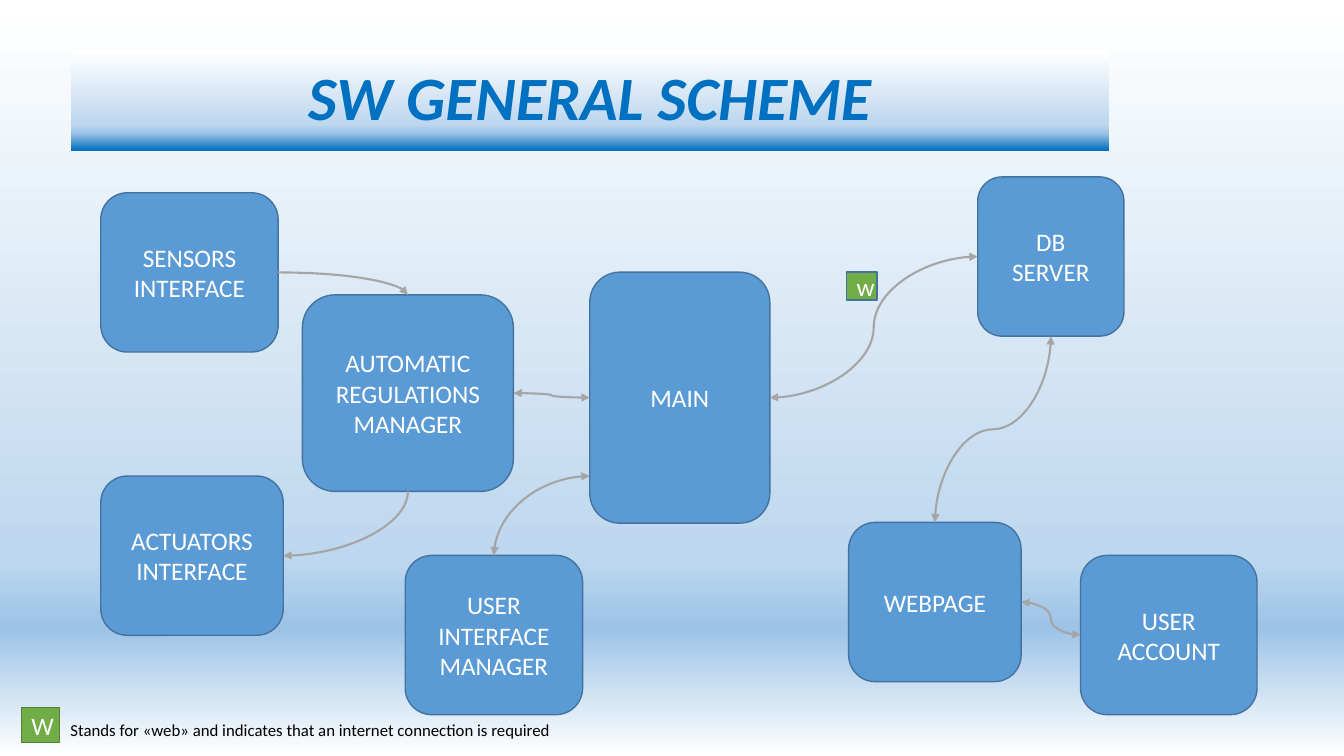
from copy import deepcopy
from dataclasses import dataclass

from lxml.etree import SubElement
from pptx import Presentation
from pptx.dml.color import RGBColor
from pptx.enum.shapes import MSO_CONNECTOR, MSO_SHAPE
from pptx.enum.text import MSO_ANCHOR, MSO_AUTO_SIZE, PP_ALIGN
from pptx.oxml.ns import qn
from pptx.util import Inches, Pt


@dataclass
class Theme:
    font: str = "Calibri"
    title: str = "0070C0"
    white: str = "FFFFFF"
    black: str = "000000"
    box: str = "5B9BD5"
    box_line: str = "43739E"
    web: str = "70AD47"
    web_line: str = "538035"
    arrow: str = "A5A5A5"
    title_size: int = 44
    body_size: int = 18
    note_size: int = 12


theme = Theme()
rgb = RGBColor.from_string
TOP, LEFT, BOTTOM, RIGHT = range(4)


def set_gradient(fill, element, last):
    """Fill downwards from white through two blues to the last colour."""
    fill.gradient()
    fill.gradient_angle = 270
    stops = next(element.iter(qn("a:gsLst")))
    for _ in range(2):
        stops.append(deepcopy(stops[0]))
    colours = (theme.white, "BDD7EE", "9DC3E6", last)
    for stop, place, colour in zip(fill.gradient_stops, (0, 0.74, 0.83, 1), colours):
        stop.position = place
        stop.color.rgb = rgb(colour)


def add_text(sp, text, size, colour, align=PP_ALIGN.CENTER):
    tf = sp.text_frame
    tf.word_wrap = True
    p = tf.paragraphs[0]
    p.alignment = align
    r = p.add_run()
    r.text = text
    r.font.name = theme.font
    r.font.size = Pt(size)
    r.font.color.rgb = rgb(colour)
    return r


prs = Presentation()
prs.slide_width, prs.slide_height = Inches(13.33), Inches(7.5)
# Lengths below are percentages of the slide's width and height.
X, Y = prs.slide_width / 100, prs.slide_height / 100
s = prs.slides.add_slide(prs.slide_layouts[5])
bg_fill = s.background.fill
set_gradient(bg_fill, s.element, theme.white)

# Title
sp = s.shapes.title
sp.left, sp.top = int(5.3 * X), int(6.67 * Y)
sp.width, sp.height = int(77.2 * X), int(13.2 * Y)
set_gradient(sp.fill, sp.element, theme.title)
sp.text_frame.vertical_anchor = MSO_ANCHOR.MIDDLE
r = add_text(sp, "SW GENERAL SCHEME", theme.title_size, theme.title)
r.font.bold = r.font.italic = True
sp.text_frame.paragraphs[0].line_spacing = 0.9

# Modules and web markers
ROUND, RECT = MSO_SHAPE.ROUNDED_RECTANGLE, MSO_SHAPE.RECTANGLE
ROW = 21.07
blocks = [
    ("MAIN", ROUND, 43.88, 36, 13.4, 33.2, theme.box, theme.box_line),
    ("SENSORS INTERFACE", ROUND, 7.5, 25.5, 13.2, ROW, theme.box, theme.box_line),
    ("AUTOMATIC REGULATIONS MANAGER", ROUND, 22.5, 39, 15.7, 26, theme.box, theme.box_line),
    ("ACTUATORS INTERFACE", ROUND, 7.5, 62.97, 13.58, ROW, theme.box, theme.box_line),
    ("DB SERVER", ROUND, 72.75, 23.4, 10.88, ROW, theme.box, theme.box_line),
    ("WEBPAGE", ROUND, 63.15, 69.1, 12.83, ROW, theme.box, theme.box_line),
    ("USER ACCOUNT", ROUND, 80.4, 73.47, 13.13, ROW, theme.box, theme.box_line),
    ("USER INTERFACE MANAGER", ROUND, 30.15, 73.47, 13.2, ROW, theme.box, theme.box_line),
    ("W", RECT, 1.6, 93.6, 2.85, 4.6, theme.web, theme.web_line),
    ("w", RECT, 63, 36, 2.25, 3.7, theme.web, theme.box_line),
]
shapes = {}
for text, kind, x, y, w, h, fill, line in blocks:
    sp = s.shapes.add_shape(kind, int(x * X), int(y * Y), int(w * X), int(h * Y))
    sp.shadow.inherit = False
    sp.fill.solid()
    sp.fill.fore_color.rgb = rgb(fill)
    sp.line.color.rgb = rgb(line)
    sp.line.width = Pt(1)
    sp.text_frame.vertical_anchor = MSO_ANCHOR.MIDDLE
    add_text(sp, text, theme.body_size, theme.white)
    shapes[text] = sp

# Legend
sp = s.shapes.add_textbox(int(4.5 * X), int(94.5 * Y), int(50.2 * X), int(4 * Y))
add_text(sp, "Stands for «web» and indicates that an internet connection is required",
         theme.note_size, theme.black, PP_ALIGN.LEFT)
sp.text_frame.auto_size = MSO_AUTO_SIZE.SHAPE_TO_FIT_TEXT

# Links: start, side, end, side, curve preset, arrowheads
ONE_WAY, BOTH = ("tailEnd",), ("headEnd", "tailEnd")
BEND, WAVE = "curvedConnector2", "curvedConnector3"
links = [
    ("SENSORS INTERFACE", RIGHT, "AUTOMATIC REGULATIONS MANAGER", TOP, BEND, ONE_WAY),
    ("AUTOMATIC REGULATIONS MANAGER", BOTTOM, "ACTUATORS INTERFACE", RIGHT, BEND, ONE_WAY),
    ("WEBPAGE", RIGHT, "USER ACCOUNT", LEFT, WAVE, BOTH),
    ("DB SERVER", LEFT, "MAIN", RIGHT, WAVE, BOTH),
    ("AUTOMATIC REGULATIONS MANAGER", RIGHT, "MAIN", LEFT, WAVE, BOTH),
    ("USER INTERFACE MANAGER", TOP, "MAIN", None, BEND, BOTH),
    ("DB SERVER", BOTTOM, "WEBPAGE", TOP, WAVE, BOTH),
]
for start, start_side, end, end_side, preset, heads in links:
    # A free end meets the left side of MAIN, level with the top of ACTUATORS.
    c = s.shapes.add_connector(MSO_CONNECTOR.CURVE, 0, 0, shapes["MAIN"].left,
                               shapes["ACTUATORS INTERFACE"].top)
    c.begin_connect(shapes[start], start_side)
    if end_side is not None:
        c.end_connect(shapes[end], end_side)
    else:
        c.end_x, c.end_y = shapes["MAIN"].left, shapes["ACTUATORS INTERFACE"].top
    x1, y1, x2, y2 = c.begin_x, c.begin_y, c.end_x, c.end_y
    w, h = abs(x2 - x1), abs(y2 - y1)
    flip_h, flip_v = x2 < x1, y2 < y1
    xfrm = c._element.spPr.find(qn("a:xfrm"))
    if start_side in (TOP, BOTTOM):
        # A curve that leaves vertically is a horizontal one turned by 90 degrees.
        flip_h, flip_v = y2 < y1, x2 > x1
        w, h = h, w
        xfrm.set("rot", "5400000")
    xfrm.set("flipH", str(int(flip_h)))
    xfrm.set("flipV", str(int(flip_v)))
    c.left, c.top = (x1 + x2 - w) // 2, (y1 + y2 - h) // 2
    c.width, c.height = w, h
    c._element.spPr.find(qn("a:prstGeom")).set("prst", preset)
    c.line.color.rgb = rgb(theme.arrow)
    c.line.width = Pt(1.5)
    for head in heads:
        SubElement(c.line._get_or_add_ln(), qn(f"a:{head}"), type="triangle")
    SubElement(c._element.spPr, qn("a:effectLst"))

prs.save("out.pptx")
